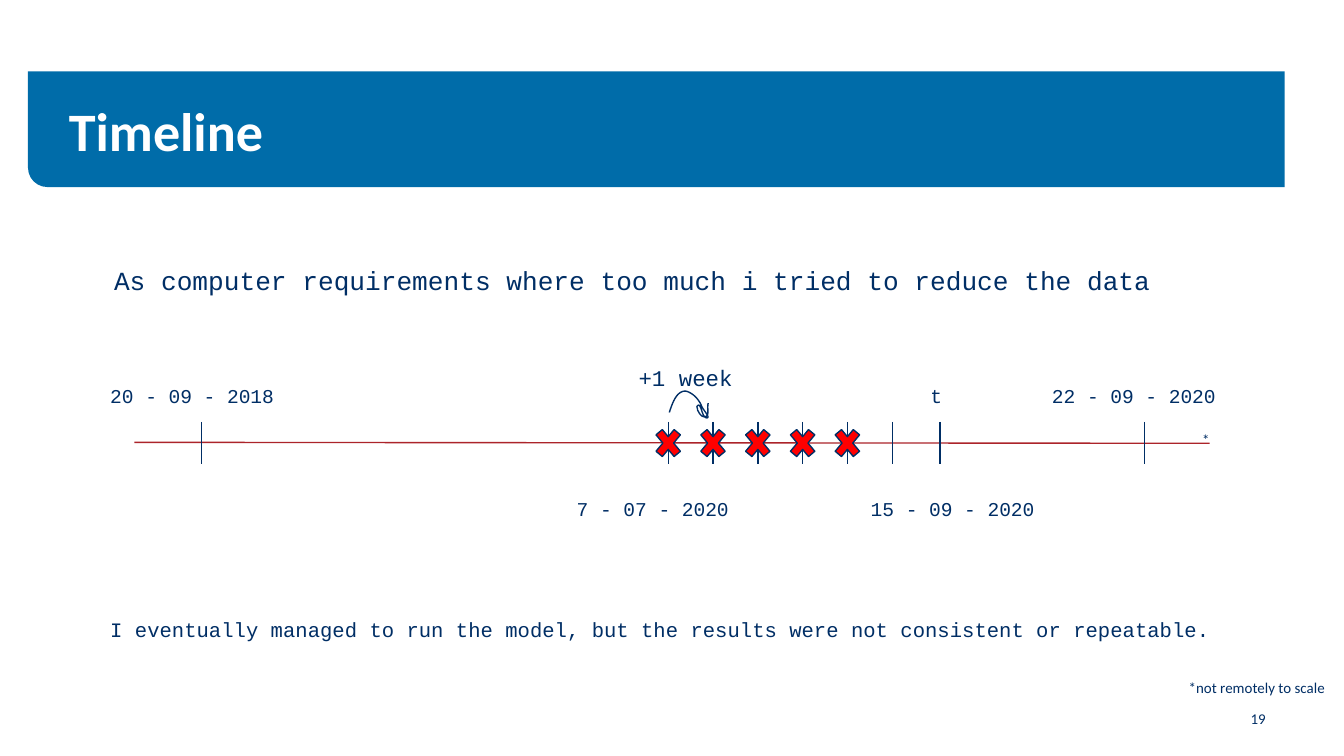
"""Build the timeline slide with dates, crossed-out weeks and remarks."""
from dataclasses import dataclass

from lxml.etree import SubElement
from pptx import Presentation
from pptx.dml.color import RGBColor as Rgb
from pptx.enum.shapes import MSO_CONNECTOR as Conn, MSO_SHAPE as Kind
from pptx.enum.text import MSO_ANCHOR as Anchor, MSO_AUTO_SIZE as Fit, PP_ALIGN as Align
from pptx.oxml.ns import qn
from pptx.util import Pt


@dataclass(frozen=True)
class Theme:
    navy: Rgb = Rgb.from_string("002E65")
    blue: Rgb = Rgb.from_string("006CA9")
    wine: Rgb = Rgb.from_string("AC242A")
    red: Rgb = Rgb.from_string("FF0000")
    white: Rgb = Rgb.from_string("FFFFFF")
    sans: str = "Calibri"
    mono: str = "Courier New"
    head: float = 29
    lead: float = 14
    step: float = 12
    body: float = 11
    date: float = 10.5
    note: float = 8
    rule: float = 0.75


class Deck:
    def __init__(self, theme):
        self.theme = theme
        self.file = Presentation()
        self.file.slide_width, self.file.slide_height = Pt(720), Pt(405)
        self.slide = self.file.slides.add_slide(self.file.slide_layouts[5])
        self.shapes = self.slide.shapes

    def apply(self, item, style):
        for key, value in style.items():
            setattr(item, key, value)

    def put(self, shape, text, pad, anchor, align, font):
        frame = shape.text_frame
        sides = ("left", "top", "right", "bottom")
        self.apply(frame, {f"margin_{side}": Pt(gap) for side, gap in zip(sides, pad * 2)})
        self.apply(frame, {"word_wrap": True, "auto_size": Fit.NONE,
                           "vertical_anchor": anchor})
        line = frame.paragraphs[0]
        line.alignment = align
        run = line.add_run()
        run.text = text
        color = font.pop("color")
        self.apply(run.font, font)
        run.font.color.rgb = color

    def title(self, text, box):
        shape = self.shapes.title
        self.apply(shape, dict(zip(("left", "top", "width", "height"), map(Pt, box))))
        t = self.theme
        self.put(shape, text, (0, 0), Anchor.MIDDLE, Align.LEFT,
                 {"name": t.sans, "size": Pt(t.head), "bold": True, "color": t.white})

    def label(self, text, box, size):
        t = self.theme
        self.put(self.shapes.add_textbox(*map(Pt, box)), text, (7.2, 7.2),
                 Anchor.TOP, Align.LEFT,
                 {"name": t.mono, "size": Pt(size), "color": t.navy})

    def note(self, text, box):
        t = self.theme
        self.put(self.shapes.add_textbox(*map(Pt, box)), text, (5, 3),
                 Anchor.MIDDLE, Align.RIGHT,
                 {"name": t.sans, "size": Pt(t.note), "color": t.navy})

    def line(self, start, end, color):
        link = self.shapes.add_connector(Conn.STRAIGHT, *map(Pt, start + end))
        link.line.color.rgb, link.line.width = color, Pt(self.theme.rule)
        SubElement(link.element.spPr, qn("a:effectLst"))

    def outline(self, shape):
        shape.shadow.inherit = False
        shape.line.color.rgb, shape.line.width = self.theme.navy, Pt(self.theme.rule)

    def banner(self, box):
        shape = self.shapes.add_shape(Kind.ROUND_1_RECTANGLE, *map(Pt, box))
        shape.rotation = 180
        shape.shadow.inherit = False
        shape.fill.solid()
        shape.fill.fore_color.rgb = self.theme.blue
        shape.line.fill.background()
        self.shapes.title.element.addprevious(shape.element)

    def cross(self, x, y):
        shape = self.shapes.add_shape(Kind.MATH_MULTIPLY, Pt(x - 9.35), Pt(y - 11.2),
                                      Pt(18.7), Pt(22.4))
        shape.adjustments[0] = 0.235
        shape.fill.solid()
        shape.fill.fore_color.rgb = self.theme.red
        self.outline(shape)

    def curve(self, start, parts, count=12):
        spots, last = [], start
        for a, b, end in parts:
            for i in range(1, count + 1):
                u = i / count
                v = 1 - u
                spots.append(tuple(
                    Pt(v**3 * p + 3 * v * v * u * q + 3 * v * u * u * r + u**3 * s)
                    for p, q, r, s in zip(last, a, b, end)))
            last = end
        pen = self.shapes.build_freeform(*map(Pt, start), scale=1)
        pen.add_line_segments(spots, close=False)
        shape = pen.convert_to_shape()
        shape.fill.background()
        self.outline(shape)


def main():
    t = Theme()
    deck = Deck(t)
    deck.banner((15, 38.2, 673.2, 62))
    deck.title("Timeline", (36.9, 46.1, 646.6, 46.8))

    deck.line((72, 237), (648, 237.5), t.wine)
    weeks = [358 + 24 * i for i in range(6)]
    for x in [108, *weeks, 503.5, 613]:
        deck.line((x, 226), (x, 248.4), t.navy)
    for x in weeks[:-1]:
        deck.cross(x, 237.4)

    for text, x, y, width in (
        ("20 - 09 - 2018", 52, 198.7, 112.3),
        ("22 - 09 - 2020", 556.5, 198.7, 112.3),
        ("t", 491.3, 198.7, 28),
        ("7 - 07 - 2020", 301.9, 259.2, 112.3),
        ("15 - 09 - 2020", 459.4, 259.2, 112.3),
    ):
        deck.label(text, (x, y, width, 22.3), t.date)
    deck.label("+1 week", (335, 187.9, 68.4, 21.6), t.step)
    deck.curve((358.6, 221), (
        ((360, 216.7), (362.2, 209.5), (367.2, 209.5)),
        ((370.8, 210.2), (374.4, 213.8), (375.8, 217.4)),
        ((376.6, 219.6), (380.9, 223.9), (378.7, 223.9)),
        ((375.8, 223.9), (375.8, 215.3), (373.7, 217.4)),
        ((373, 218.2), (373.7, 218.2), (373.7, 219.6)),
        ((374.4, 221), (375.8, 223.9), (378, 223.2)),
        ((380.2, 222.5), (378.7, 218.9), (379.4, 216)),
    ))

    deck.label("As computer requirements where too much i tried to reduce the data",
               (54, 134.6, 642.2, 41), t.lead)
    deck.label("I eventually managed to run the model, but the results were not "
               "consistent or repeatable.", (52, 323.3, 604.8, 33.8), t.body)
    for text, x, y, width in (
        ("*", 634.3, 224.6, 18.7),
        ("*not remotely to scale", 558.7, 357.8, 156.2),
        ("19", 527, 374.4, 156.2),
    ):
        deck.note(text, (x, y, width, 21.6))
    deck.file.save("out.pptx")


if __name__ == "__main__":
    main()
